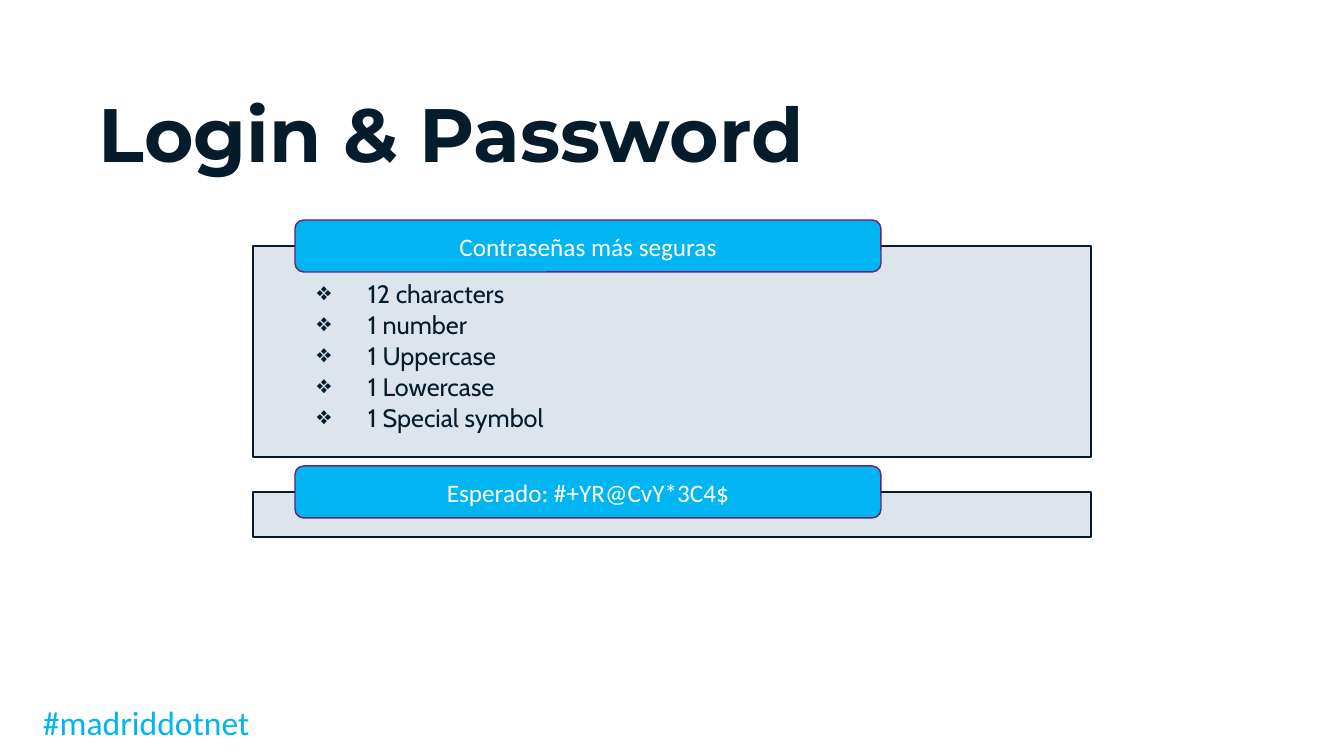
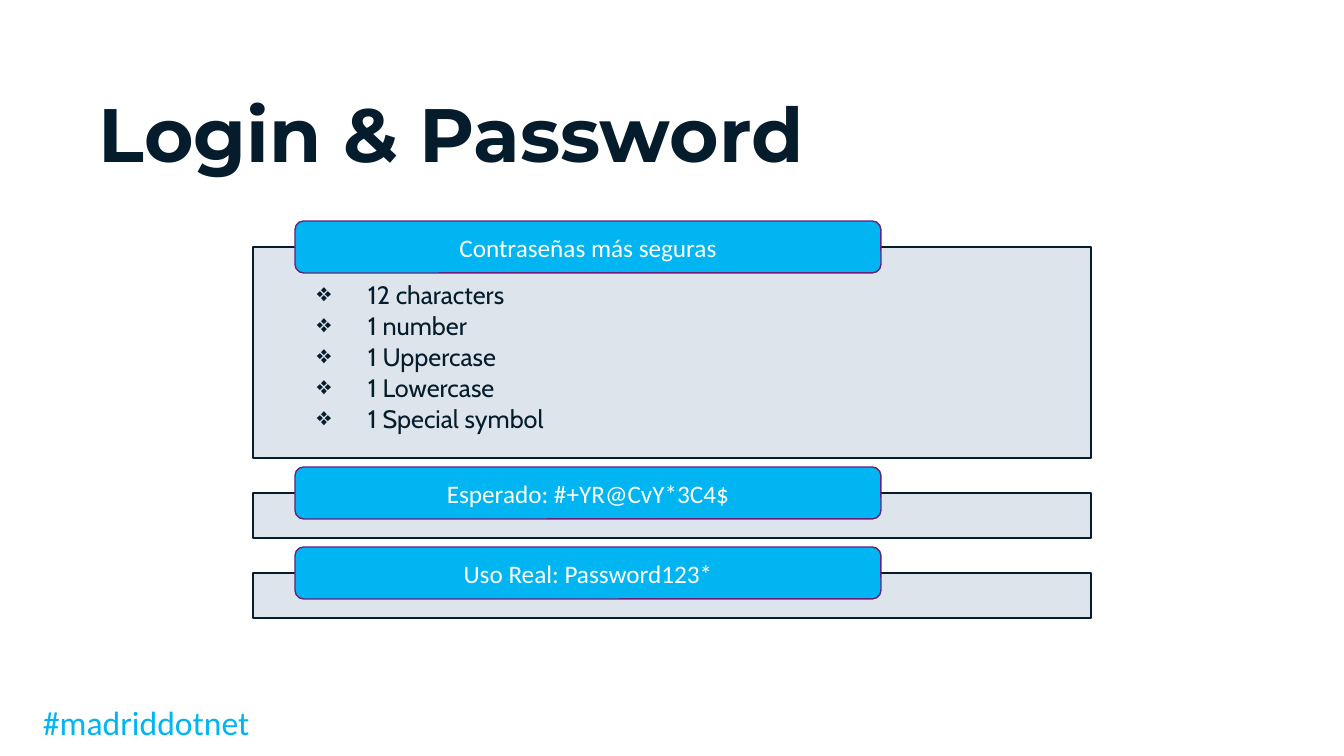
from lxml.etree import SubElement
from pptx import Presentation
from pptx.dml.color import RGBColor
from pptx.enum.shapes import MSO_SHAPE
from pptx.enum.text import MSO_ANCHOR, PP_ALIGN
from pptx.oxml.ns import qn
from pptx.util import Emu, Pt

TITLE = "Login & Password"
FOOTER = "#madriddotnet"
RULES = ["12 characters", "1 number", "1 Uppercase", "1 Lowercase", "1 Special symbol"]
SAFE = ("Contraseñas más seguras", RULES)
HOPED = ("Esperado: #+YR@CvY*3C4$", [])
REAL = ("Uso Real: Password123*", [])
SLIDES = [(246, [SAFE, HOPED]), (247, [SAFE, HOPED, REAL])]

THEME = {
    "ink": "041C2C", "sky": "00B5F1", "mist": "DBE2E9", "plum": "682079", "white": "FFFFFF",
    "title": ("Montserrat", 54, "ink", True),
    "footer": ("Calibri", 24, "sky", False),
    "label": ("Calibri", 18, "white", False),
    "rule": ("Cabin", 18, "ink", False),
}

SIZE = (1344, 756)
TITLE_BOX = (99, 99, 728, 146)
FOOTER_BOX = (33, 697, 244, 50)
PANEL_X, PANEL_W = 253, 838
FULL_H, BARE_H, GAP = 211, 45, 35
LABEL_X, LABEL_W, LABEL_H = 295, 586, 52
INDENT = 51


def px(n):
    return Emu(round(n * 914400 / 100.8))


def color(name):
    return RGBColor.from_string(THEME[name])


def setup(frame, pads, anchor=MSO_ANCHOR.TOP):
    frame.word_wrap = True
    frame.vertical_anchor = anchor
    frame.margin_left, frame.margin_top, frame.margin_right, frame.margin_bottom = map(px, pads)


def write(par, text, style, align=PP_ALIGN.LEFT):
    face, size, ink, bold = THEME[style]
    par.alignment = align
    run = par.add_run()
    run.text = text
    font = run.font
    font.name, font.size, font.bold = face, Pt(size), bold
    font.color.rgb = color(ink)


def add_text(slide, box, text, style, pads, spacing=1.0):
    frame = slide.shapes.add_textbox(*map(px, box)).text_frame
    setup(frame, pads)
    par = frame.paragraphs[0]
    par.line_spacing = spacing
    write(par, text, style)


def add_block(slide, kind, box, fill, line):
    shape = slide.shapes.add_shape(kind, *map(px, box))
    shape.shadow.inherit = False
    shape.fill.solid()
    shape.fill.fore_color.rgb = color(fill)
    shape.line.color.rgb = color(line)
    shape.line.width = Pt(1)
    return shape


def add_panel(slide, top, height, rules):
    box = (PANEL_X, top, PANEL_W, height)
    panel = add_block(slide, MSO_SHAPE.RECTANGLE, box, "mist", "ink")
    tint = panel.fill._xPr.find(".//" + qn("a:srgbClr"))
    SubElement(tint, qn("a:alpha"), val="90000")
    frame = panel.text_frame
    setup(frame, (64, 36, 64, 14))
    for i, rule in enumerate(rules):
        par = frame.add_paragraph() if i else frame.paragraphs[0]
        props = par._p.get_or_add_pPr()
        props.set("marL", str(px(INDENT)))
        props.set("indent", str(px(-INDENT)))
        SubElement(props, qn("a:buChar"), char="❖")
        par.line_spacing = 0.9
        par.space_after = Pt(2.7)
        write(par, rule, "rule")


def add_label(slide, top, text):
    box = (LABEL_X, top - LABEL_H // 2, LABEL_W, LABEL_H)
    label = add_block(slide, MSO_SHAPE.ROUNDED_RECTANGLE, box, "sky", "plum")
    setup(label.text_frame, (22, 0, 22, 0), MSO_ANCHOR.MIDDLE)
    write(label.text_frame.paragraphs[0], text, "label", PP_ALIGN.CENTER)


def add_page(deck, top, groups):
    slide = deck.slides.add_slide(deck.slide_layouts[6])
    add_text(slide, TITLE_BOX, TITLE, "title", (0, 5, 0, 5), 0.8)
    add_text(slide, FOOTER_BOX, FOOTER, "footer", (10, 5, 10, 5))
    for text, rules in groups:
        height = FULL_H if rules else BARE_H
        add_panel(slide, top, height, rules)
        add_label(slide, top, text)
        top += height + GAP


def main():
    deck = Presentation()
    deck.slide_width, deck.slide_height = map(px, SIZE)
    for top, groups in SLIDES:
        add_page(deck, top, groups)
    deck.save("out.pptx")


if __name__ == "__main__":
    main()
